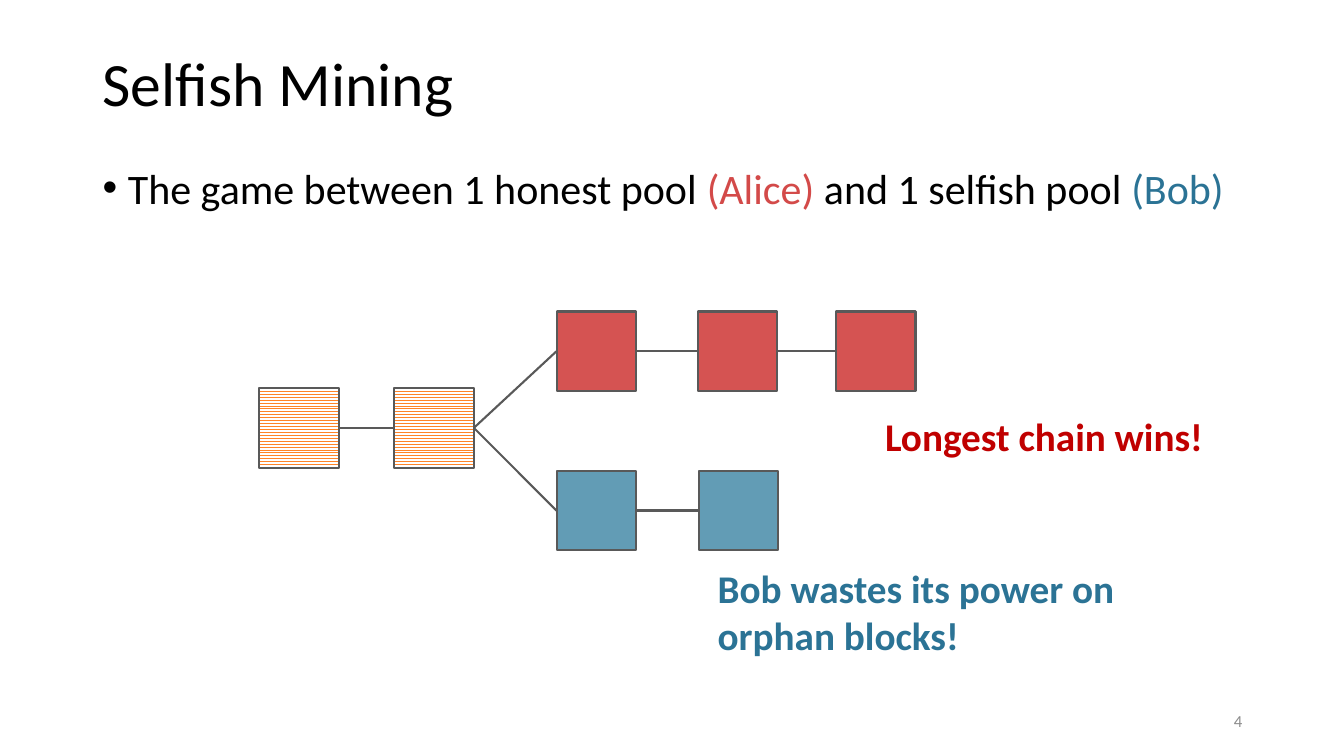
"""Build the selfish mining slide: a forked block chain with its outcome."""
from typing import NamedTuple

from lxml import etree
from pptx import Presentation
from pptx import slide as sl
from pptx import util as u
from pptx.dml import color, fill as fl
from pptx.enum import dml, shapes, text
from pptx.oxml import ns

COLORS = {
    "ink": "000000", "edge": "595959", "paper": "FFFFFF", "shared": "FF8427",
    "alice": "D55352", "bob": "629CB5", "alice_name": "D34A49",
    "bob_name": "2B7395", "verdict": "C00000", "number": "8C8C8C",
}
FONT = "Calibri"
BLOCK_SIZE = 0.79
EDGE_WIDTH = 1.5
ALICE_TOP, SHARED_TOP, BOB_TOP = 3.09, 3.85, 4.67


class Run(NamedTuple):
    words: str
    color: str


class Block(NamedTuple):
    left: float
    top: float
    owner: str

    @property
    def middle(self) -> float:
        return self.top + BLOCK_SIZE / 2


SHARED_CHAIN = [Block(left, SHARED_TOP, "shared") for left in (2.57, 3.91)]
ALICE_CHAIN = [Block(left, ALICE_TOP, "alice") for left in (5.52, 6.92, 8.29)]
BOB_CHAIN = [Block(left, BOB_TOP, "bob") for left in (5.52, 6.93)]


def rgb(name: str) -> color.RGBColor:
    return color.RGBColor.from_string(COLORS[name])


def add_text(slide: sl.Slide, runs: list[Run], *, at: tuple[float, float, float, float],
             size: float, bold: bool = False, bullet: bool = False, spacing: float = 1.0,
             align: text.PP_ALIGN = text.PP_ALIGN.LEFT,
             anchor: text.MSO_ANCHOR = text.MSO_ANCHOR.TOP) -> None:
    frame = slide.shapes.add_textbox(*map(u.Inches, at)).text_frame
    frame.word_wrap = True
    frame.vertical_anchor = anchor
    paragraph = frame.paragraphs[0]
    paragraph.alignment = align
    paragraph.line_spacing = spacing
    if bullet:
        properties = paragraph._p.get_or_add_pPr()
        properties.set("marL", str(u.Inches(0.25)))
        properties.set("indent", str(u.Inches(-0.25)))
        etree.SubElement(properties, ns.qn("a:buFont"), typeface="Arial")
        etree.SubElement(properties, ns.qn("a:buChar"), char="•")
    for words, color_name in runs:
        run = paragraph.add_run()
        run.text = words
        run.font.name = FONT
        run.font.size = u.Pt(size)
        run.font.bold = bold
        run.font.color.rgb = rgb(color_name)


def paint(fill: fl.FillFormat, owner: str) -> None:
    if owner == "shared":
        fill.patterned()
        fill.pattern = dml.MSO_PATTERN.ZIG_ZAG
        fill.fore_color.rgb = rgb(owner)
        fill.back_color.rgb = rgb("paper")
    else:
        fill.solid()
        fill.fore_color.rgb = rgb(owner)


def add_block(slide: sl.Slide, block: Block) -> None:
    square = slide.shapes.add_shape(
        shapes.MSO_SHAPE.RECTANGLE, u.Inches(block.left), u.Inches(block.top),
        u.Inches(BLOCK_SIZE), u.Inches(BLOCK_SIZE))
    square.rotation = 270
    square.shadow.inherit = False
    paint(square.fill, block.owner)
    square.line.color.rgb = rgb("edge")
    square.line.width = u.Pt(EDGE_WIDTH)


def add_link(slide: sl.Slide, parent: Block, child: Block) -> None:
    link = slide.shapes.add_connector(
        shapes.MSO_CONNECTOR.STRAIGHT,
        u.Inches(parent.left + BLOCK_SIZE), u.Inches(parent.middle),
        u.Inches(child.left), u.Inches(child.middle))
    link.line.color.rgb = rgb("edge")
    link.line.width = u.Pt(EDGE_WIDTH)
    etree.SubElement(link._element.spPr, ns.qn("a:effectLst"))


def main() -> None:
    deck = Presentation()
    deck.slide_width, deck.slide_height = u.Inches(13.33), u.Inches(7.5)
    slide = deck.slides.add_slide(deck.slide_layouts[6])

    add_text(slide, [Run("Selfish Mining", "ink")], at=(0.92, 0.4, 11.5, 0.92),
             size=44, spacing=0.9, anchor=text.MSO_ANCHOR.MIDDLE)
    premise = [
        Run("The game between 1 honest pool ", "ink"), Run("(Alice) ", "alice_name"),
        Run("and 1 selfish pool ", "ink"), Run("(Bob)", "bob_name"),
    ]
    add_text(slide, premise, at=(0.92, 1.56, 11.5, 1.62), size=30, bullet=True)

    fork = SHARED_CHAIN[-1]
    for chain in (SHARED_CHAIN, [fork, *ALICE_CHAIN], [fork, *BOB_CHAIN]):
        for parent, child in zip(chain, chain[1:]):
            add_link(slide, parent, child)
    for block in SHARED_CHAIN + ALICE_CHAIN + BOB_CHAIN:
        add_block(slide, block)

    add_text(slide, [Run("Longest chain wins!", "verdict")],
             at=(8.68, 4.04, 3.77, 0.57), size=28, bold=True)
    add_text(slide, [Run("Bob wastes its power on orphan blocks!", "bob_name")],
             at=(7.02, 5.55, 4.24, 1.04), size=28, bold=True)
    add_text(slide, [Run("4", "number")], at=(9.42, 6.95, 3, 0.4), size=12,
             align=text.PP_ALIGN.RIGHT, anchor=text.MSO_ANCHOR.MIDDLE)
    deck.save("out.pptx")


if __name__ == "__main__":
    main()
